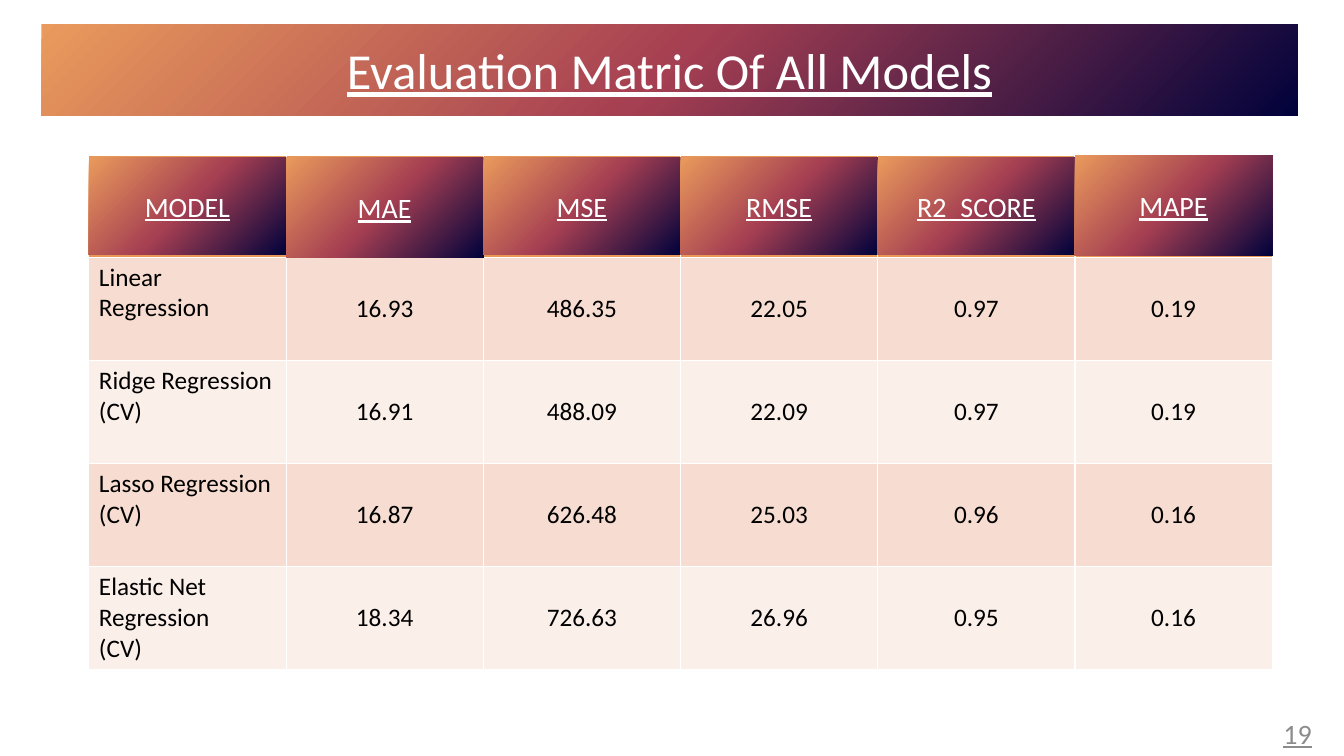
from lxml import etree
from pptx import Presentation
from pptx.dml.color import RGBColor
from pptx.enum import shapes, text
from pptx.oxml import ns
from pptx.util import Cm, Pt

TITLE = "Evaluation Matric Of All Models"
PAGE_NUMBER = "19"
# label, top and height in cm
HEADERS = [
    ("MODEL", 3.96, 2.46),
    ("MAE", 3.96, 2.53),
    ("MSE", 3.96, 2.46),
    ("RMSE", 3.96, 2.46),
    ("R2_SCORE", 3.96, 2.46),
    ("MAPE", 3.91, 2.53),
]
ROWS = [
    ("Linear Regression", "16.93", "486.35", "22.05", "0.97", "0.19"),
    ("Ridge Regression\n(CV)", "16.91", "488.09", "22.09", "0.97", "0.19"),
    ("Lasso Regression\n(CV)", "16.87", "626.48", "25.03", "0.96", "0.16"),
    ("Elastic Net Regression\n(CV)", "18.34", "726.63", "26.96", "0.95", "0.16"),
]

FONT = "Calibri"
WHITE = RGBColor(0xFF, 0xFF, 0xFF)
BLACK = RGBColor(0, 0, 0)
GREY = RGBColor(0x8C, 0x8C, 0x8C)
ORANGE = RGBColor(0xE9, 0x97, 0x57)
BANDS = [RGBColor(0xF7, 0xDD, 0xD1), RGBColor(0xFB, 0xEF, 0xEA)]
GRADIENT = [
    (0, RGBColor(0x01, 0x02, 0x3B)),
    (50, RGBColor(0xA5, 0x3F, 0x52)),
    (100, RGBColor(0xEA, 0x9A, 0x5C)),
]

TABLE_LEFT, TABLE_TOP = 2.24, 3.91
COLUMN_WIDTH, HEADER_HEIGHT, ROW_HEIGHT = 4.97, 2.57, 2.6


def fill_gradient(shape):
    """Fill with a gradient that spreads from the bottom right corner."""
    properties = shape.element.spPr
    gradient = etree.Element(ns.qn("a:gradFill"), rotWithShape="1")
    stops = etree.SubElement(gradient, ns.qn("a:gsLst"))
    for position, color in GRADIENT:
        stop = etree.SubElement(stops, ns.qn("a:gs"), pos=str(position * 1000))
        etree.SubElement(stop, ns.qn("a:srgbClr"), val=str(color))
    spread = etree.SubElement(gradient, ns.qn("a:path"), path="circle")
    etree.SubElement(spread, ns.qn("a:fillToRect"), l="100000", t="100000")
    etree.SubElement(gradient, ns.qn("a:tileRect"), r="-100000", b="-100000")
    geometry = properties.find(ns.qn("a:prstGeom"))
    if geometry is None:
        properties.append(gradient)
    else:
        geometry.addnext(gradient)


def write(frame, words, size, color, align=text.PP_ALIGN.CENTER, underline=None):
    frame.text = words
    for para in frame.paragraphs:
        para.alignment = align
        for span in para.runs:
            span.font.name = FONT
            span.font.size = Pt(size)
            span.font.bold = False
            span.font.underline = underline
            span.font.color.rgb = color


def add_title(page):
    title = page.shapes.title
    title.left, title.top, title.width, title.height = Cm(1.04), Cm(0.61), Cm(31.67), Cm(2.29)
    fill_gradient(title)
    frame = title.text_frame
    frame.auto_size = text.MSO_AUTO_SIZE.NONE
    frame.vertical_anchor = text.MSO_ANCHOR.MIDDLE
    write(frame, TITLE, 36, WHITE, underline=True)


def add_scores(page):
    table = page.shapes.add_table(
        len(ROWS) + 1, len(HEADERS), Cm(TABLE_LEFT), Cm(TABLE_TOP),
        Cm(COLUMN_WIDTH * len(HEADERS)), Cm(HEADER_HEIGHT + ROW_HEIGHT * len(ROWS)),
    ).table
    for column in table.columns:
        column.width = Cm(COLUMN_WIDTH)
    table.rows[0].height = Cm(HEADER_HEIGHT)
    for cell in table.rows[0].cells:
        cell.fill.solid()
        cell.fill.fore_color.rgb = ORANGE
    for r, values in enumerate(ROWS):
        row = table.rows[r + 1]
        row.height = Cm(ROW_HEIGHT)
        for c, value in enumerate(values):
            cell = row.cells[c]
            cell.fill.solid()
            cell.fill.fore_color.rgb = BANDS[r % 2]
            if c == 0:
                write(cell.text_frame, value, 18, BLACK, text.PP_ALIGN.LEFT)
            else:
                cell.vertical_anchor = text.MSO_ANCHOR.MIDDLE
                write(cell.text_frame, value, 18, BLACK)


def add_headers(page):
    for i, (label, top, height) in enumerate(HEADERS):
        box = page.shapes.add_shape(
            shapes.MSO_SHAPE.RECTANGLE, Cm(TABLE_LEFT + i * COLUMN_WIDTH), Cm(top),
            Cm(COLUMN_WIDTH), Cm(height),
        )
        box.shadow.inherit = False
        box.line.fill.background()
        fill_gradient(box)
        box.text_frame.vertical_anchor = text.MSO_ANCHOR.MIDDLE
        write(box.text_frame, label, 20, WHITE, underline=True)


def add_page_number(page):
    box = page.shapes.add_textbox(Cm(32.08), Cm(17.96), Cm(1.24), Cm(1.02))
    frame = box.text_frame
    frame.word_wrap = True
    frame.margin_left = frame.margin_right = 0
    frame.vertical_anchor = text.MSO_ANCHOR.MIDDLE
    write(frame, PAGE_NUMBER, 20, GREY, underline=True)


def main():
    deck = Presentation()
    deck.slide_width, deck.slide_height = Cm(33.87), Cm(19.05)
    page = deck.slides.add_slide(deck.slide_layouts[5])
    add_title(page)
    add_scores(page)
    add_headers(page)
    add_page_number(page)
    deck.save("out.pptx")


if __name__ == "__main__":
    main()
